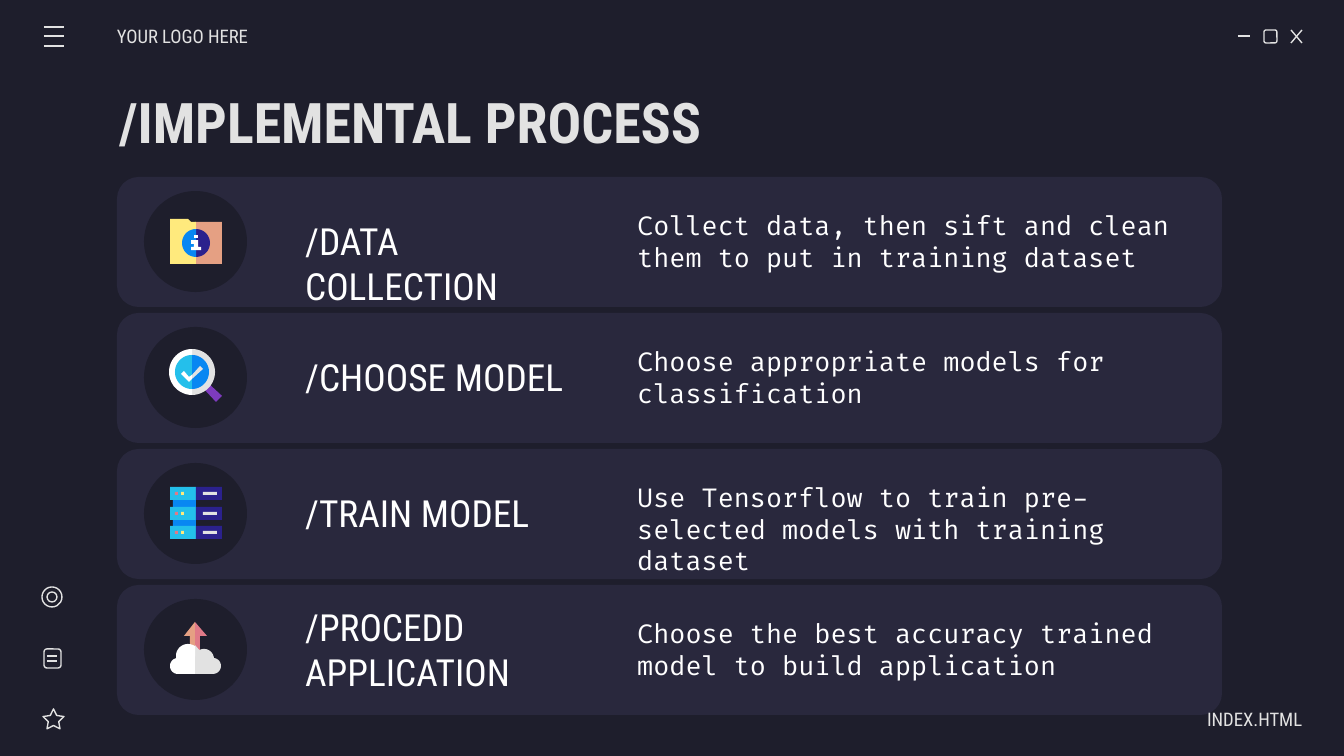
from math import cos, radians, sin
from lxml.etree import SubElement
from pptx import Presentation
from pptx.dml.color import RGBColor
from pptx.enum.shapes import MSO_CONNECTOR, MSO_SHAPE
from pptx.enum.text import MSO_ANCHOR, MSO_AUTO_SIZE, PP_ALIGN
from pptx.oxml.ns import qn
from pptx.util import Pt

PX = 914400 / 134.4
DARK, PANEL, PALE, WHITE = "1E1E2C", "29283D", "E2E2E2", "FFFFFF"
CYAN, BLUE, INDIGO, PURPLE = "24BFEB", "0887F2", "2B218D", "7E3BBE"
YELLOW, PEACH, PINK = "FFEA7D", "E5A083", "E07A88"
HEADING, BODY = "Roboto Condensed", "Fira Code"


def tint(fill, colour):
    fill.solid()
    fill.fore_color.rgb = RGBColor.from_string(colour)


def arc(x, y, radius, start, end):
    angles = [radians(start + (end - start) * step / 24) for step in range(25)]
    return [(x + radius * cos(a), y + radius * sin(a)) for a in angles]


deck = Presentation()
deck.slide_width, deck.slide_height = round(1344 * PX), round(756 * PX)
slide = deck.slides.add_slide(deck.slide_layouts[6])
tint(slide.background.fill, DARK)
shapes = slide.shapes

steps = [
    ("/DATA COLLECTION", 35, 316, 59,
     "Collect data, then sift and clean them to put in training dataset", 585),
    ("/CHOOSE MODEL", 35, 286, 59,
     "Choose appropriate models for classification", 585),
    ("/TRAIN MODEL", 35, 316, 59,
     "Use Tensorflow to train pre-selected models with training dataset", 599),
    ("/PROCEDD APPLICATION", 13, 316, 103,
     "Choose the best accuracy trained model to build application", 554),
]

corner = {"size": Pt(10), "name": HEADING}
middle = {"vertical_anchor": MSO_ANCHOR.MIDDLE}
growing = {"auto_size": MSO_AUTO_SIZE.SHAPE_TO_FIT_TEXT}
inset = round(13.44 * PX)
margins = {"margin_left": inset, "margin_right": inset,
           "margin_top": inset, "margin_bottom": inset}
captions = [
    ("YOUR LOGO HERE", (117, 16, 157, 40), corner, PALE,
     {**middle, **margins, "margin_left": 0}, PP_ALIGN.LEFT),
    ("INDEX.HTML", (1145, 699, 157, 40), corner, PALE,
     {**middle, **margins, "margin_right": 0}, PP_ALIGN.RIGHT),
    ("/IMPLEMENTAL PROCESS", (106, 79, 1028, 85),
     {"size": Pt(30), "name": HEADING, "bold": True}, PALE,
     {**middle, **margins}, PP_ALIGN.LEFT),
]
blocks = []
for row, (label, drop, label_width, label_height, detail, detail_width) in enumerate(steps):
    top = 177 + 136 * row
    blocks += [(MSO_SHAPE.ROUNDED_RECTANGLE, (117, top, 1105, 130), PANEL),
               (MSO_SHAPE.OVAL, (144, top + 14, 103, 101), DARK)]
    captions += [
        (label, (292, top + drop, label_width, label_height),
         {"size": Pt(20), "name": HEADING}, WHITE, growing, PP_ALIGN.LEFT),
        (detail, (624, top + 26, detail_width, 77),
         {"size": Pt(14), "name": BODY}, WHITE, growing, PP_ALIGN.LEFT),
    ]

blocks += [(MSO_SHAPE.RECTANGLE, (195, 222, 27, 42), PEACH),
           (MSO_SHAPE.RECTANGLE, (173, 499, 23, 30), BLUE)]
for tier in (487, 507, 526):
    for left, drop, width, height, colour in [
        (170, 0, 26, 13, CYAN), (196, 0, 26, 13, INDIGO), (203, 5, 14, 3, PALE),
        (175, 5, 3, 3, PINK), (181, 5, 3, 3, YELLOW),
    ]:
        blocks.append((MSO_SHAPE.RECTANGLE, (left, tier + drop, width, height), colour))

for preset, box, colour in blocks:
    block = shapes.add_shape(preset, *[round(v * PX) for v in box])
    block.shadow.inherit = False
    tint(block.fill, colour)
    block.line.fill.background()

folder = [(170, 219), (170, 264), (196, 264), (196, 222), (191, 222), (188, 219)]
info = [(191, 240), (191, 244), (194, 244), (194, 247), (191, 247), (191, 250),
        (201, 250), (201, 247), (198, 247), (198, 240)]
info_dot = [(194, 235), (194, 238), (198, 238), (198, 235)]
handle = [(207, 382), (202, 387), (216, 402), (222, 396)]
tick_long = [(200, 366), (192, 375), (191, 377), (192, 379), (203, 369)]
tick_short = [(184, 371), (181, 374), (189, 382), (192, 379), (192, 375), (189, 377)]
arrow_right = [(195, 622), (195, 652), (200, 652), (200, 636), (207, 636)]
arrow_left = [(195, 622), (184, 636), (190, 636), (190, 652), (195, 652)]
cloud_right = [(195, 645), *arc(204, 659, 10, -118, -5), *arc(213, 666, 8, -80, 90), (195, 674)]
cloud_left = [*arc(188, 656, 12, -54, -170), *arc(178, 666, 8, -104, -270), (195, 674)]

outlines = [(YELLOW, folder), (PURPLE, handle)]
for x, y, radius, right_colour, left_colour in [
    (196, 243, 14, INDIGO, BLUE), (192, 372, 23, PALE, WHITE), (192, 372, 17, BLUE, CYAN),
]:
    outlines += [(right_colour, arc(x, y, radius, -90, 90)),
                 (left_colour, arc(x, y, radius, 90, 270))]
outlines += [(WHITE, info), (WHITE, info_dot), (PALE, tick_long), (WHITE, tick_short),
             (PINK, arrow_right), (PEACH, arrow_left), (PALE, cloud_right), (WHITE, cloud_left)]

for colour, points in outlines:
    start, *rest = [(x * PX, y * PX) for x, y in points]
    builder = shapes.build_freeform(*start)
    builder.add_line_segments(rest)
    piece = builder.convert_to_shape()
    piece.shadow.inherit = False
    tint(piece.fill, colour)
    piece.line.fill.background()

for preset, box in [
    (MSO_SHAPE.ROUNDED_RECTANGLE, (1264, 30, 13, 13)),
    (MSO_SHAPE.STAR_5_POINT, (43, 709, 21, 20)),
    (MSO_SHAPE.ROUNDED_RECTANGLE, (44, 649, 17, 19)),
    (MSO_SHAPE.OVAL, (42, 587, 20, 20)),
    (MSO_SHAPE.OVAL, (47, 592, 10, 10)),
]:
    symbol = shapes.add_shape(preset, *[round(v * PX) for v in box])
    symbol.shadow.inherit = False
    symbol.fill.background()
    tint(symbol.line.fill, PALE)
    symbol.line.width = Pt(0.75)
    if preset == MSO_SHAPE.STAR_5_POINT:
        symbol.adjustments[0] = 0.25

menu = [(44, y, 64, y) for y in (27, 36, 46)]
note = [(47, y, 57, y) for y in (656, 661)]
window = [(1238, 36, 1250, 36), (1291, 30, 1302, 43), (1302, 30, 1291, 43)]
for ends in menu + note + window:
    stroke = shapes.add_connector(MSO_CONNECTOR.STRAIGHT, *[round(v * PX) for v in ends])
    tint(stroke.line.fill, PALE)
    stroke.line.width = Pt(0.75)
    SubElement(stroke._element.spPr, qn("a:effectLst"))

for wording, box, face, colour, layout, alignment in captions:
    frame = shapes.add_textbox(*[round(v * PX) for v in box]).text_frame
    frame.word_wrap = True
    for key, value in layout.items():
        setattr(frame, key, value)
    paragraph = frame.paragraphs[0]
    paragraph.alignment = alignment
    run = paragraph.add_run()
    run.text = wording
    for key, value in face.items():
        setattr(run.font, key, value)
    tint(run.font.fill, colour)

deck.save("out.pptx")
